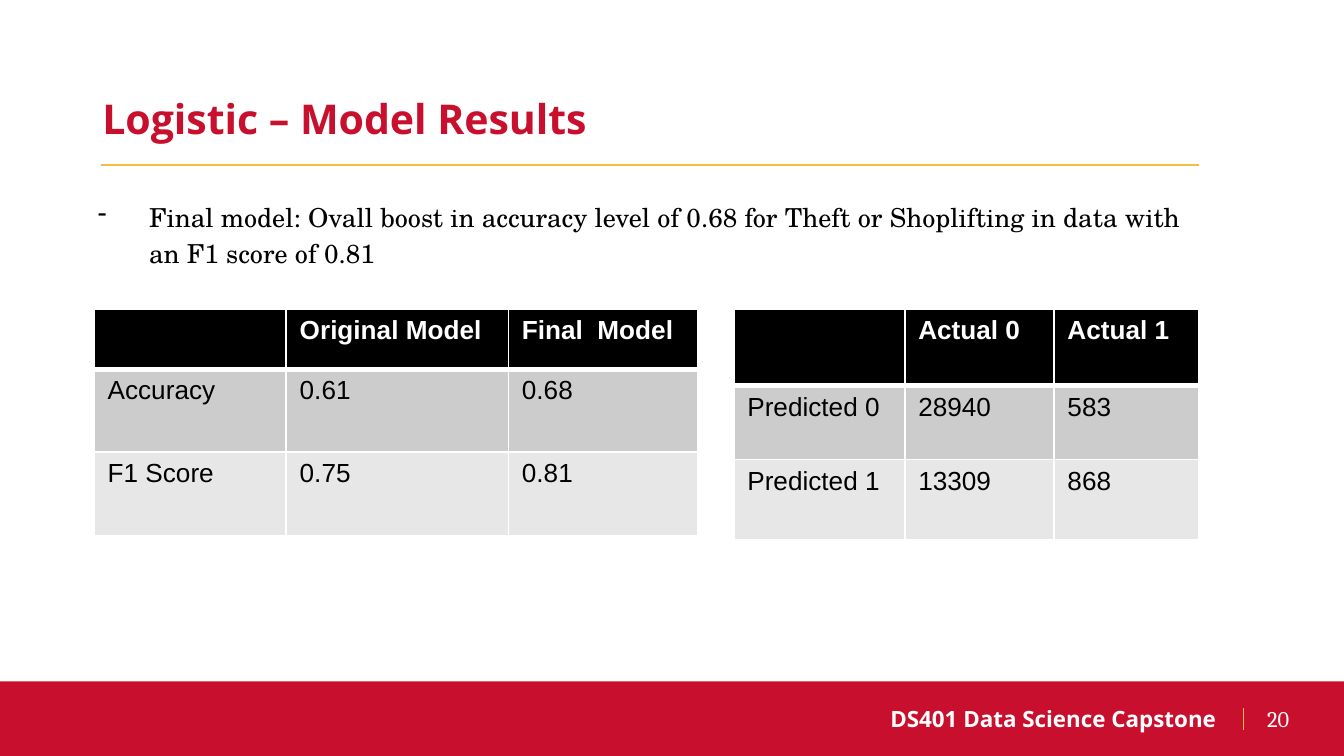
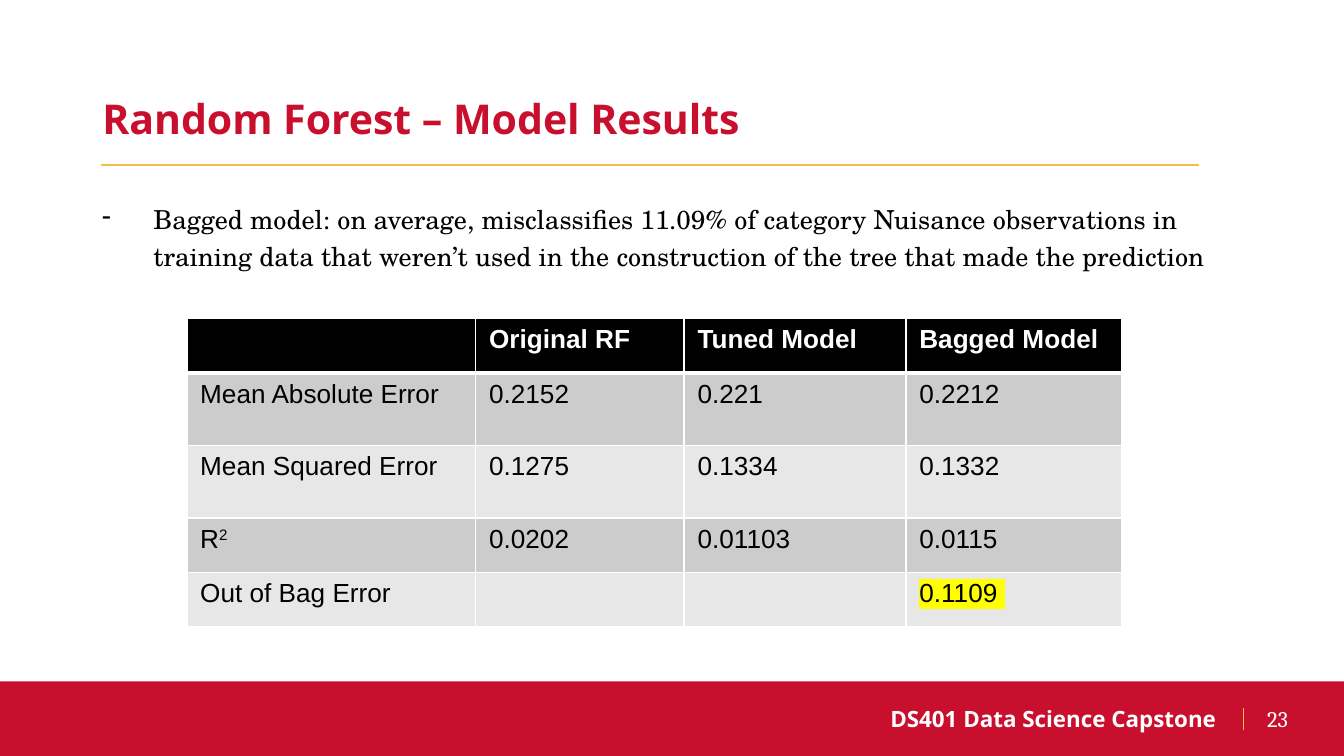
from lxml import etree
from pptx import Presentation
from pptx.dml.color import RGBColor
from pptx.enum.shapes import MSO_CONNECTOR, MSO_SHAPE
from pptx.enum.text import MSO_ANCHOR, MSO_AUTO_SIZE, PP_ALIGN
from pptx.oxml import parse_xml
from pptx.oxml.ns import qn
from pptx.util import Cm, Pt

RECT = MSO_SHAPE.RECTANGLE
STRAIGHT = MSO_CONNECTOR.STRAIGHT
TOP, MIDDLE = MSO_ANCHOR.TOP, MSO_ANCHOR.MIDDLE
LEFT, RIGHT = PP_ALIGN.LEFT, PP_ALIGN.RIGHT
NO_FIT = MSO_AUTO_SIZE.NONE
NS = 'xmlns:a="http://schemas.openxmlformats.org/drawingml/2006/main"'
rgb = RGBColor.from_string

RED, GOLD, WHITE, BLACK = "C8102E", "F1BE48", "FFFFFF", "000000"
BANDS = ["CCCCCC", "E7E7E7"]
HEAD, BODY, NUMBER, TABLE = "Open Sans", "TeX Gyre Schola", "Cambria", "Arial"

SLIDES = [
    {
        "title": "Logistic – Model Results",
        "number": "20",
        "bullet": "Final model: Ovall boost in accuracy level of 0.68 for Theft or "
                  "Shoplifting in data with an F1 score of 0.81",
        "bullet_at": (1.6, 3.58, 21.34, 2.29),
        "tables": [
            {
                "at": (1.78, 5.84),
                "cols": [3.63, 4.2, 3.57],
                "rows": [1.14, 1.57, 1.57],
                "cells": [["", "Original Model", "Final  Model"],
                          ["Accuracy", "0.61", "0.68"],
                          ["F1 Score", "0.75", "0.81"]],
            },
            {
                "at": (13.87, 5.84),
                "cols": [3.23, 2.82, 2.74],
                "rows": [1.45, 1.4, 1.52],
                "cells": [["", "Actual 0", "Actual 1"],
                          ["Predicted 0", "28940", "583"],
                          ["Predicted 1", "13309", "868"]],
            },
        ],
    },
    {
        "title": "Random Forest – Model Results",
        "number": "23",
        "bullet": "Bagged model: on average, misclassifies 11.09% of category Nuisance "
                  "observations in training data that weren’t used in the construction "
                  "of the tree that made the prediction",
        "bullet_at": (1.68, 3.63, 21.39, 7.52),
        "tables": [
            {
                "at": (3.53, 6.02),
                "cols": [5.46, 3.94, 4.19, 4.09],
                "rows": [1.03, 1.37, 1.37, 1.03, 1.03],
                "cells": [["", "Original RF", "Tuned Model", "Bagged Model"],
                          ["Mean Absolute Error", "0.2152", "0.221", "0.2212"],
                          ["Mean Squared Error", "0.1275", "0.1334", "0.1332"],
                          [[("R", {}), ("2", {"baseline": 30000})],
                           "0.0202", "0.01103", "0.0115"],
                          ["Out of Bag Error", "", "",
                           [("0.1109 ", {"highlight": "FFFF00"})]]],
            },
        ],
    },
]


def write(p, text, font, size, color, bold=False, align=LEFT, baseline=0, highlight=None):
    p.alignment = align
    r = p.add_run()
    r.text = text
    r.font.name, r.font.size, r.font.bold = font, Pt(size), bold
    r.font.color.rgb = rgb(color)
    rPr = r.font._element
    if baseline:
        rPr.set("baseline", str(baseline))
    if highlight:
        rPr.find(qn("a:solidFill")).addnext(parse_xml(
            f'<a:highlight {NS}><a:srgbClr val="{highlight}"/></a:highlight>'))


def add_line(s, x1, y1, x2, y2, width):
    line = s.shapes.add_connector(STRAIGHT, Cm(x1), Cm(y1), Cm(x2), Cm(y2))
    line.line.color.rgb = rgb(GOLD)
    line.line.width = Pt(width)
    etree.SubElement(line._element.spPr, qn("a:effectLst"))


prs = Presentation()
prs.slide_width, prs.slide_height = Cm(25.4), Cm(14.29)

for data in SLIDES:
    s = prs.slides.add_slide(prs.slide_layouts[5])

    band = s.shapes.add_shape(RECT, 0, Cm(12.88), prs.slide_width, Cm(1.41))
    band.shadow.inherit = False
    band.fill.solid()
    band.fill.fore_color.rgb = rgb(RED)
    band.line.fill.background()

    footer = s.shapes.add_textbox(Cm(11.61), Cm(13.21), Cm(11.63), Cm(0.79))
    footer.text_frame.word_wrap = True
    write(footer.text_frame.paragraphs[0], "DS401 Data Science Capstone",
          HEAD, 12, WHITE, bold=True, align=RIGHT)
    add_line(s, 23.5, 13.39, 23.5, 13.79, 0.75)
    number = s.shapes.add_textbox(Cm(23.7), Cm(13.21), Cm(1.47), Cm(0.76))
    number.text_frame.word_wrap = True
    number.text_frame.vertical_anchor = MIDDLE
    write(number.text_frame.paragraphs[0], data["number"], NUMBER, 12, WHITE)

    title = s.shapes.title
    title.left, title.top, title.width, title.height = Cm(1.68), Cm(1.63), Cm(17.07), Cm(1.19)
    tf = title.text_frame
    tf.auto_size, tf.vertical_anchor = NO_FIT, TOP
    write(tf.paragraphs[0], data["title"], HEAD, 22, RED, bold=True)
    add_line(s, 1.9, 3.12, 22.66, 3.12, 1)

    bullet = s.shapes.add_textbox(*[Cm(v) for v in data["bullet_at"]])
    bullet.text_frame.word_wrap = True
    p = bullet.text_frame.paragraphs[0]
    p.line_spacing = 1.16
    pPr = p._p.get_or_add_pPr()
    pPr.set("marL", str(Cm(0.97)))
    pPr.set("indent", str(-Cm(0.97)))
    pPr.append(parse_xml(f'<a:buClr {NS}><a:srgbClr val="{BLACK}"/></a:buClr>'))
    pPr.append(parse_xml(f'<a:buChar {NS} char="-"/>'))
    write(p, data["bullet"], BODY, 14, BLACK)

    for spec_table in data["tables"]:
        cols, rows = spec_table["cols"], spec_table["rows"]
        x, y = spec_table["at"]
        table = s.shapes.add_table(len(rows), len(cols), Cm(x), Cm(y),
                                   Cm(sum(cols)), Cm(sum(rows))).table
        for column, width in zip(table.columns, cols):
            column.width = Cm(width)
        for i, (row, height) in enumerate(zip(table.rows, rows)):
            row.height = Cm(height)
            header = i == 0
            for cell, content in zip(row.cells, spec_table["cells"][i]):
                cell.fill.solid()
                cell.fill.fore_color.rgb = rgb(BLACK if header else BANDS[(i - 1) % 2])
                tcPr = cell._tc.get_or_add_tcPr()
                for k, side in enumerate("LRTB"):
                    thick = (header and side == "B") or (i == 1 and side == "T")
                    tcPr.insert(k, parse_xml(
                        f'<a:ln{side} {NS} w="{Pt(3 if thick else 1)}"><a:solidFill>'
                        f'<a:srgbClr val="{WHITE}"/></a:solidFill></a:ln{side}>'))
                runs = [(content, {})] if isinstance(content, str) else content
                for text, extra in runs:
                    if text:
                        write(cell.text_frame.paragraphs[0], text, TABLE, 14,
                              WHITE if header else BLACK, bold=header, **extra)

prs.save("out.pptx")
